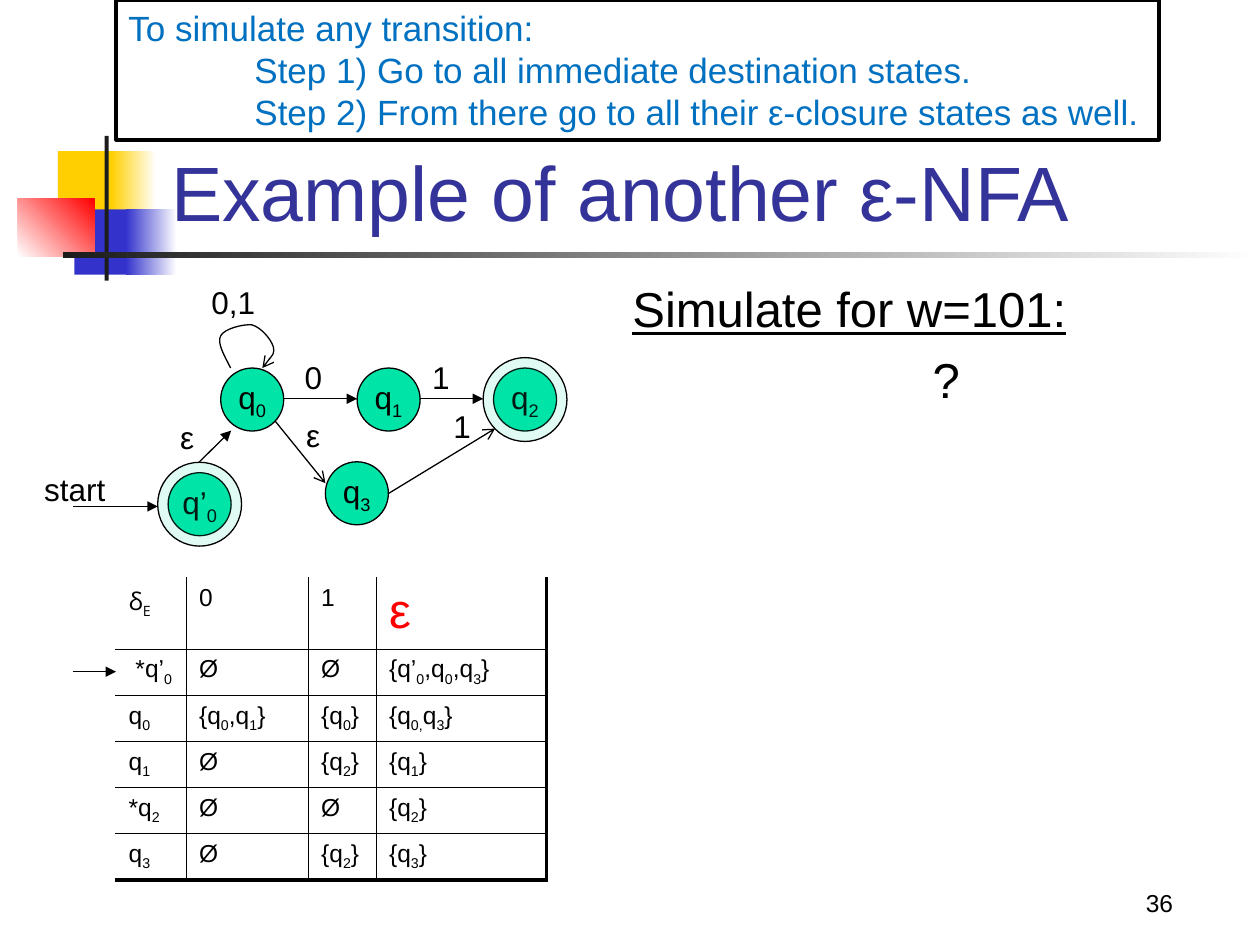
from pptx import Presentation
from pptx import util as u
from pptx.dml.color import RGBColor
from pptx.enum import shapes, text
from pptx.oxml.ns import qn
from pptx.oxml.xmlchemy import OxmlElement

BLACK = RGBColor(0x00, 0x00, 0x00)
WHITE = RGBColor(0xFF, 0xFF, 0xFF)
DARK = RGBColor(0x1C, 0x1C, 0x1C)
YELLOW = RGBColor(0xFF, 0xCF, 0x01)
BLUE = RGBColor(0x33, 0x33, 0xCC)
RED = RGBColor(0xFF, 0x00, 0x00)
INDIGO = RGBColor(0x33, 0x33, 0x99)
SKY = RGBColor(0x00, 0x70, 0xC0)
GREEN = RGBColor(0x00, 0xE4, 0xA8)


class SlideBuilder:
    font = "Arial"
    hairline = u.Pt(0.75)
    diameter = 1.27
    ring_gap = 0.21

    def __init__(self, page):
        self.page = page

    def add_spans(self, para, content, size, color=BLACK, font=None, underline=False):
        for index, part in enumerate(content.split("~")):
            if not part:
                continue
            span = para.add_run()
            span.text = part
            span.font.name = font or self.font
            span.font.size = u.Pt(size)
            span.font.color.rgb = color
            if underline:
                span.font.underline = True
            if index % 2:
                span._r.get_or_add_rPr().set("baseline", "-25000")

    def text_box(self, lines, left, top, width, height, size, color=BLACK, wrap=False,
                 anchor=text.MSO_ANCHOR.TOP, align=text.PP_ALIGN.LEFT):
        box = self.page.shapes.add_textbox(*map(u.Cm, (left, top, width, height)))
        frame = box.text_frame
        frame.word_wrap = wrap
        frame.vertical_anchor = anchor
        for index, (line, indent) in enumerate(lines):
            para = frame.add_paragraph() if index else frame.paragraphs[0]
            para.alignment = align
            if indent:
                para._p.get_or_add_pPr().set("marL", str(u.Cm(indent)))
            self.add_spans(para, line, size, color)
        return box

    def label(self, content, left, top, width=0.86):
        self.text_box([(content, 0)], left, top, width, 1.02, 18)

    def block(self, left, top, width, height, start, end=None, angle=0):
        box = self.page.shapes.add_shape(
            shapes.MSO_SHAPE.RECTANGLE, *map(u.Cm, (left, top, width, height)))
        box.shadow.inherit = False
        box.line.fill.background()
        if end is None:
            box.fill.solid()
            box.fill.fore_color.rgb = start
        else:
            box.fill.gradient()
            box.fill.gradient_angle = angle
            for stop, color in zip(box.fill.gradient_stops, (start, end)):
                stop.color.rgb = color

    def circle(self, left, top, diameter):
        oval = self.page.shapes.add_shape(
            shapes.MSO_SHAPE.OVAL, *map(u.Cm, (left, top, diameter, diameter)))
        oval.shadow.inherit = False
        oval.fill.solid()
        oval.fill.fore_color.rgb = GREEN
        oval.line.color.rgb = BLACK
        oval.line.width = self.hairline
        return oval

    def state(self, name, left, top, accepting=False):
        frame = self.circle(left, top, self.diameter).text_frame
        frame.word_wrap = False
        frame.vertical_anchor = text.MSO_ANCHOR.MIDDLE
        frame.paragraphs[0].alignment = text.PP_ALIGN.CENTER
        self.add_spans(frame.paragraphs[0], name, 18)
        if accepting:
            gap = self.ring_gap
            ring = self.circle(left - gap, top - gap, self.diameter + 2 * gap)
            alpha = OxmlElement("a:alpha")
            alpha.set("val", "12000")
            next(ring.element.spPr.iter(qn("a:srgbClr"))).append(alpha)

    def arrowhead(self, line, kind):
        line.color.rgb = BLACK
        line.width = self.hairline
        tail = OxmlElement("a:tailEnd")
        tail.set("type", kind)
        line._get_or_add_ln().append(tail)

    def arrow(self, start_x, start_y, end_x, end_y, kind="triangle"):
        connector = self.page.shapes.add_connector(
            shapes.MSO_CONNECTOR.STRAIGHT, *map(u.Cm, (start_x, start_y, end_x, end_y)))
        self.arrowhead(connector.line, kind)
        connector.element.spPr.append(OxmlElement("a:effectLst"))

    def curve(self, start, points):
        builder = self.page.shapes.build_freeform(*map(u.Cm, start))
        builder.add_line_segments([tuple(map(u.Cm, point)) for point in points], close=False)
        loop = builder.convert_to_shape()
        loop.shadow.inherit = False
        loop.fill.background()
        segments = list(loop.element.iter(qn("a:lnTo")))
        for first in range(0, len(segments), 3):
            bezier = OxmlElement("a:cubicBezTo")
            segments[first].addprevious(bezier)
            for segment in segments[first:first + 3]:
                bezier.append(segment[0])
                segment.getparent().remove(segment)
        self.arrowhead(loop.line, "arrow")

    def border(self, cell, sides):
        for position, (side, width) in enumerate(sides):
            edge = OxmlElement("a:" + side)
            edge.set("w", str(u.Pt(width)))
            fill = OxmlElement("a:solidFill")
            color = OxmlElement("a:srgbClr")
            color.set("val", str(BLACK))
            fill.append(color)
            edge.append(fill)
            cell._tc.get_or_add_tcPr().insert(position, edge)

    def table(self, rows, left, top, widths, heights):
        grid = self.page.shapes.add_table(
            len(rows), len(widths), *map(u.Cm, (left, top, sum(widths), sum(heights)))).table
        grid.first_row = grid.horz_banding = False
        for column, width in zip(grid.columns, widths):
            column.width = u.Cm(width)
        last_row, last_col = len(rows) - 1, len(widths) - 1
        for r, row in enumerate(rows):
            grid.rows[r].height = u.Cm(heights[r])
            for c, content in enumerate(row):
                cell = grid.cell(r, c)
                cell.fill.background()
                sides = [("lnL", 1)] if c else []
                sides.append(("lnR", 2.25 if c == last_col else 1))
                if r:
                    sides.append(("lnT", 1))
                sides.append(("lnB", 2.25 if r == last_row else 1))
                self.border(cell, sides)
                para = cell.text_frame.paragraphs[0]
                heading_epsilon = r == 0 and c == last_col
                self.add_spans(para, content, 28 if heading_epsilon else 14,
                               RED if heading_epsilon else BLACK,
                               "Open Sans" if r == c == 0 else None)


def main():
    deck = Presentation()
    deck.slide_width, deck.slide_height = u.Cm(25.4), u.Cm(19.05)
    slide = SlideBuilder(deck.slides.add_slide(deck.slide_layouts[6]))

    slide.block(1.17, 3.05, 1.22, 1.32, YELLOW)
    slide.block(2.24, 3.05, 0.91, 1.32, YELLOW, WHITE)
    slide.block(1.5, 4.22, 1.17, 1.32, BLUE)
    slide.block(2.54, 4.22, 1.02, 1.32, BLUE, WHITE)
    slide.block(0.36, 4.01, 1.55, 1.17, WHITE, RED, 45)
    slide.block(2.11, 2.74, 0.08, 2.92, DARK)
    slide.block(1.27, 5.08, 24.13, 0.13, DARK, WHITE)

    bottom = text.MSO_ANCHOR.BOTTOM
    slide.text_box([("36", 0)], 18.62, 17.35, 5.28, 1.27, 14, wrap=True,
                   anchor=bottom, align=text.PP_ALIGN.RIGHT)
    slide.text_box([("Example of another ε-NFA", 0)], 3.2, 1.73, 21.64, 3.18, 44, INDIGO,
                   wrap=True, anchor=bottom)

    slide.table([
        ["δ~E~", "0", "1", "ε"],
        [" *q’~0~", "Ø", "Ø", "{q’~0~,q~0~,q~3~}"],
        ["q~0~", "{q~0~,q~1~}", "{q~0~}", "{q~0,~q~3~}"],
        ["q~1~", "Ø", "{q~2~}", "{q~1~}"],
        ["*q~2~", "Ø", "Ø", "{q~2~}"],
        ["q~3~", "Ø", "{q~2~}", "{q~3~}"],
    ], 2.34, 11.65, [1.42, 2.46, 1.37, 3.43], [1.35] + [0.89] * 5)
    slide.arrow(1.48, 13.54, 2.34, 13.54)

    task = slide.text_box([], 12.5, 5.5, 10.58, 2.12, 28, wrap=True).text_frame
    slide.add_spans(task.paragraphs[0], "Simulate for w=101:", 28, underline=True)
    question = task.add_paragraph()
    question.space_before = u.Pt(6.5)
    question._p.get_or_add_pPr().set("marL", str(u.Cm(6.05)))
    slide.add_spans(question, "?", 28)

    for name, left, top, accepting in [
        ("q~0~", 4.45, 7.42, False), ("q~1~", 7.2, 7.42, False), ("q~2~", 9.95, 7.42, True),
        ("q’~0~", 3.39, 9.53, True), ("q~3~", 6.56, 9.31, False),
    ]:
        slide.state(name, left, top, accepting)

    slide.arrow(1.48, 10.21, 3.18, 10.21)
    slide.arrow(5.72, 8.04, 7.2, 8.04)
    slide.arrow(8.47, 8.04, 9.74, 8.04)
    slide.arrow(4.02, 9.31, 4.66, 8.68)
    slide.arrow(5.54, 8.48, 6.56, 9.74, "arrow")
    slide.arrow(7.83, 9.95, 9.98, 8.64, "arrow")
    slide.curve((4.65, 7.42), [
        (4.52, 7.16), (4.37, 6.91), (4.45, 6.77),
        (4.52, 6.63), (4.9, 6.53), (5.08, 6.55),
        (5.26, 6.6), (5.46, 6.83), (5.51, 6.99),
        (5.54, 7.14), (5.41, 7.26), (5.29, 7.42),
    ])

    for content, left, top, width in [
        ("start", 0.64, 9.35, 1.75), ("0,1", 4.01, 5.59, 1.4), ("0", 5.89, 7.09, 0.86),
        ("1", 8.46, 7.09, 0.86), ("1", 8.89, 8.08, 0.86),
        ("ε", 3.38, 8.31, 0.79), ("ε", 5.92, 8.26, 0.79),
    ]:
        slide.label(content, left, top, width)

    steps = slide.text_box([
        ("To simulate any transition:", 0),
        ("Step 1) Go to all immediate destination states.", 2.54),
        ("Step 2) From there go to all their ε-closure states as well.", 2.54),
    ], 2.34, 0, 21.03, 2.82, 20, SKY)
    steps.fill.solid()
    steps.fill.fore_color.rgb = WHITE
    steps.line.color.rgb = BLACK
    steps.line.width = u.Pt(2)

    deck.save("out.pptx")


if __name__ == "__main__":
    main()
